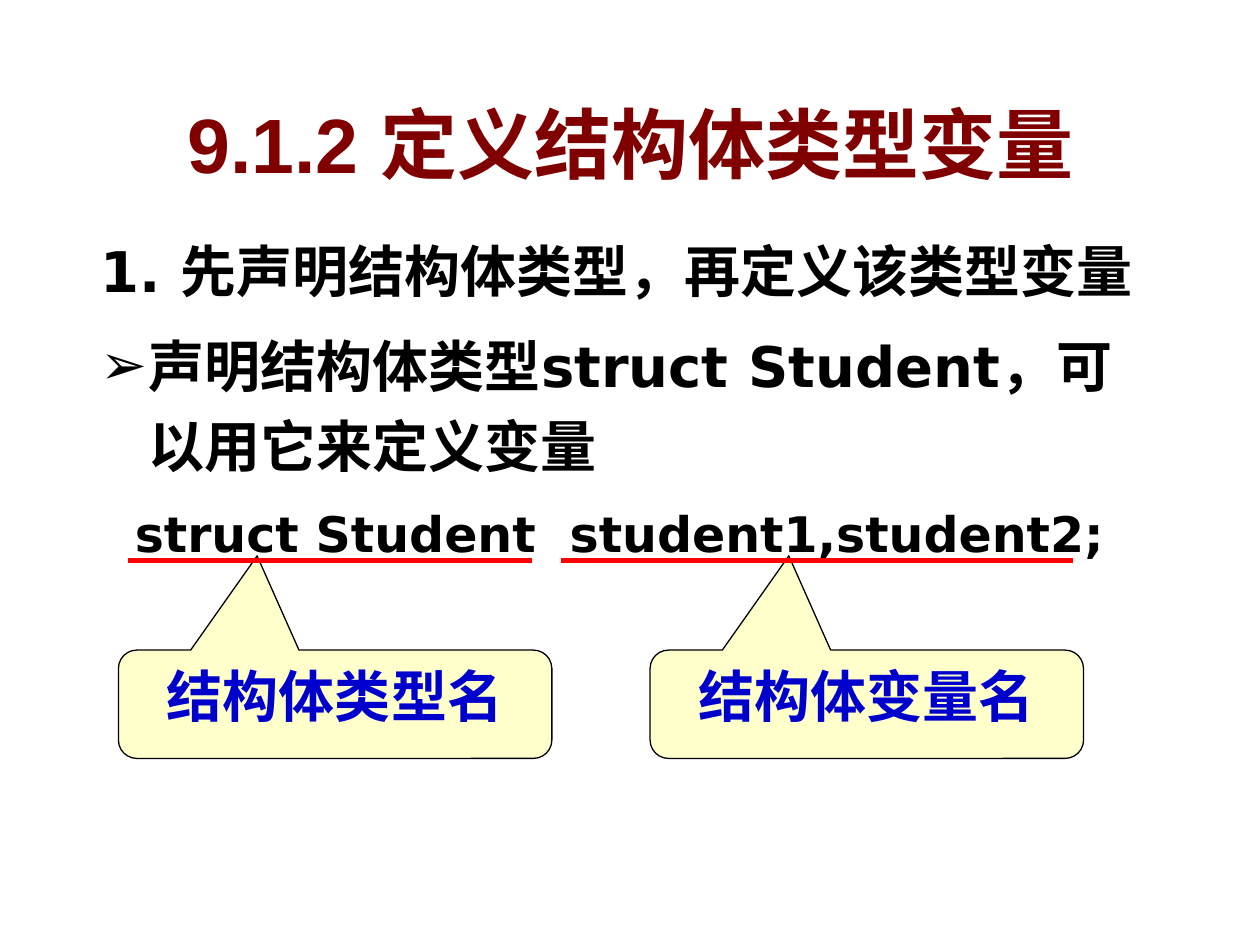
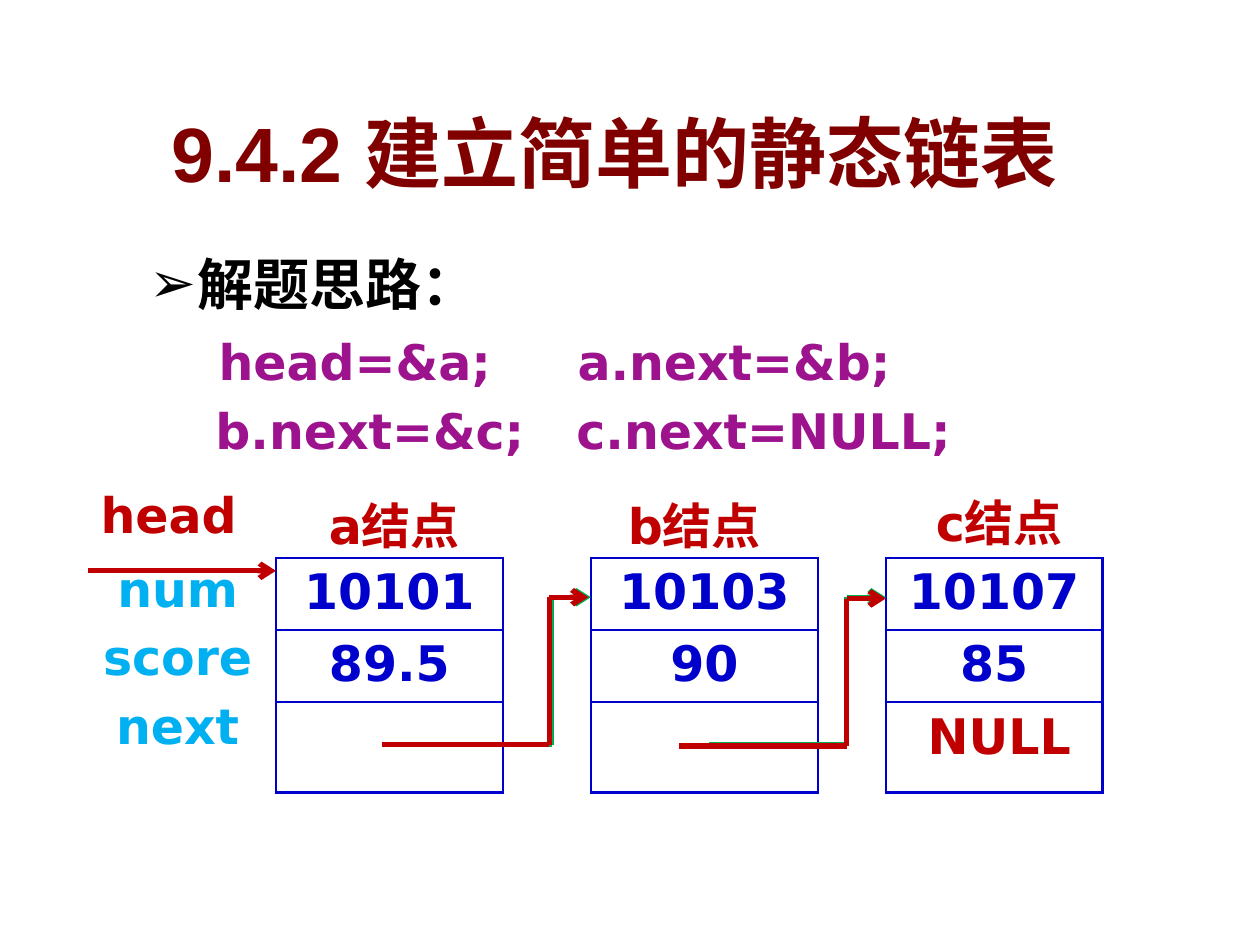
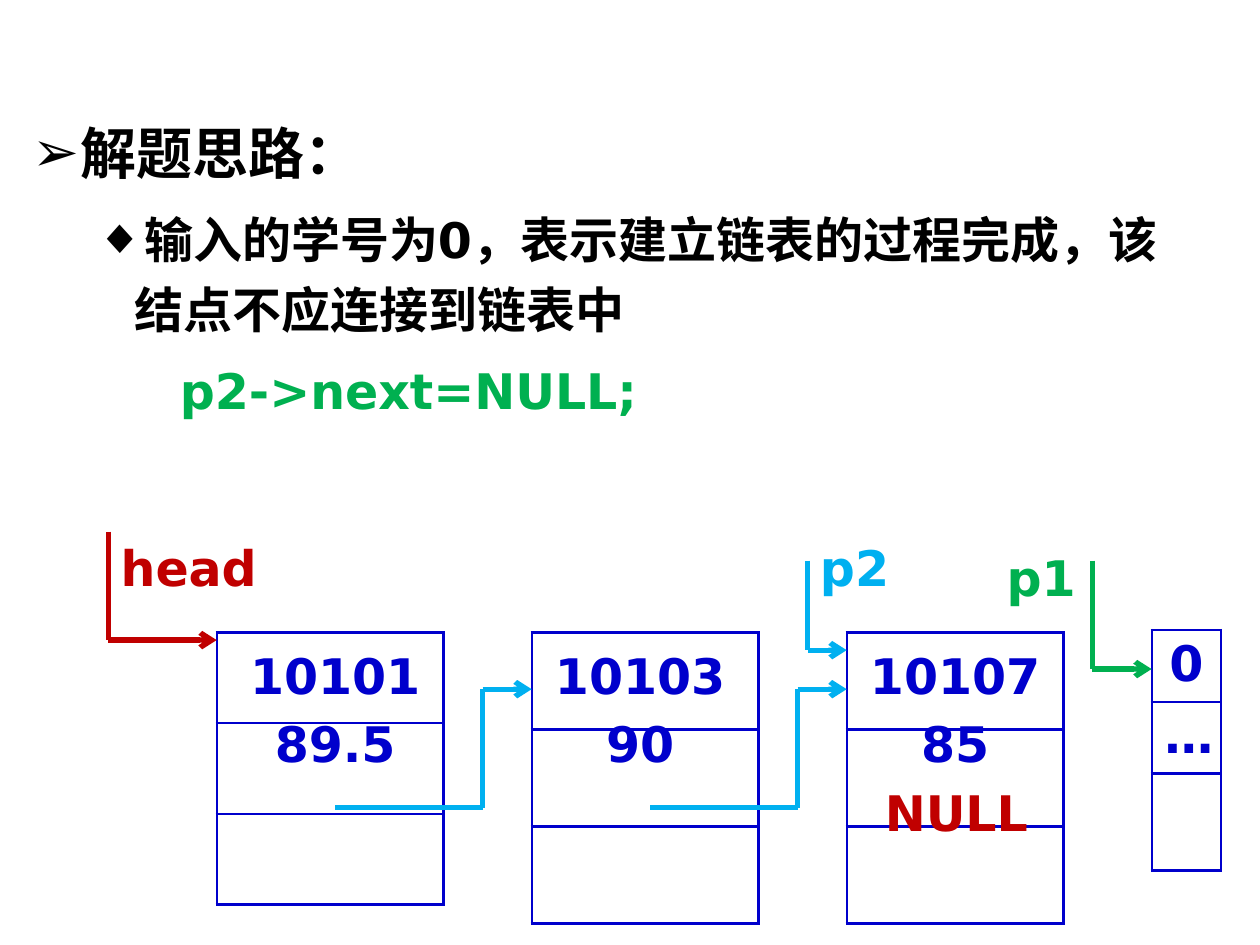
from dataclasses import dataclass

from lxml import etree
from pptx import Presentation
from pptx.dml.color import RGBColor
from pptx.enum.shapes import MSO_CONNECTOR as Connector, MSO_SHAPE as Shape
from pptx.enum.text import MSO_ANCHOR as Anchor, MSO_AUTO_SIZE as AutoSize, PP_ALIGN as Align
from pptx.oxml import parse_xml
from pptx.oxml.ns import nsdecls, qn
from pptx.util import Emu, Pt

EMU_PER_PX = 9144


@dataclass(frozen=True)
class Theme:
    """Colours, fonts and type sizes shared by the pages."""
    title: str = "800000"
    ink: str = "000000"
    paper: str = "FFFFFF"
    blue: str = "0000CC"
    cyan: str = "00B0F0"
    green: str = "00B050"
    red: str = "C00000"
    underline: str = "FF0000"
    purple: str = "9D138D"
    callout: str = "FFFFCC"
    heading_font: str = "Arial"
    body_font: str = "DejaVu Sans"
    heading_size: int = 44
    point_size: int = 32
    label_size: int = 28
    route_width: int = 3
    border_width: float = 1.5


THEME = Theme()


@dataclass(frozen=True)
class Item:
    """A paragraph of the body list."""
    text: str
    bullet: str = ""
    size: int = THEME.point_size
    level: int = 0
    before: int = 8


@dataclass(frozen=True)
class Label:
    """A free text box; exact line spacing is optional."""
    text: str
    left: int
    top: int
    width: int
    color: str
    align: Align = Align.CENTER
    height: int = 57
    spacing: int = 0


@dataclass(frozen=True)
class Node:
    """A list node drawn as a one-column table."""
    left: int
    top: int
    width: int
    heights: tuple[int, ...]
    values: tuple[str, ...] = ()


@dataclass(frozen=True)
class Route:
    """A line through points, ending in an arrowhead if asked."""
    color: str
    points: tuple[tuple[int, int], ...]
    arrow: bool = True


def px(length: int) -> Emu:
    """Convert px to EMU."""
    return Emu(length * EMU_PER_PX)


def rgb(color: str) -> RGBColor:
    """Convert a hex string to a colour."""
    return RGBColor.from_string(color)


def place(shape, left: int, top: int, width: int, height: int) -> None:
    """Move and size a shape."""
    shape.left, shape.top, shape.width, shape.height = map(px, (left, top, width, height))


def format_runs(para, size: int, color: str, font: str = THEME.body_font) -> None:
    """Format every run of a paragraph."""
    for span in para.runs:
        span.font.size = Pt(size)
        span.font.bold = True
        span.font.name = font
        span.font.color.rgb = rgb(color)


def add_title(page, text: str, left: int, top: int, width: int) -> None:
    """Fill the title placeholder with shadowed text."""
    title = page.shapes.title
    place(title, left, top, width, 84)
    frame = title.text_frame
    frame.text = text
    frame.auto_size = AutoSize.NONE
    frame.vertical_anchor = Anchor.MIDDLE
    para = frame.paragraphs[0]
    para.alignment = Align.CENTER
    format_runs(para, THEME.heading_size, THEME.title, THEME.heading_font)
    shadow = parse_xml(
        f'<a:effectLst {nsdecls("a")}><a:outerShdw dist="35921" dir="2700000">'
        '<a:srgbClr val="C0C0C0"/></a:outerShdw></a:effectLst>')
    para.runs[0].font.fill._xPr.find(qn("a:solidFill")).addnext(shadow)


def set_bullet(para, bullet: str, margin: int, hang: int) -> None:
    """Set the hanging indent and the bullet of a paragraph."""
    props = para._p.get_or_add_pPr()
    props.set("marL", str(px(margin)))
    props.set("indent", str(-px(hang)))
    if not bullet:
        etree.SubElement(props, qn("a:buNone"))
        return
    color = etree.SubElement(props, qn("a:buClr"))
    etree.SubElement(color, qn("a:srgbClr"), val=THEME.ink)
    etree.SubElement(props, qn("a:buChar"), char=bullet)


def add_body(page, box: tuple[int, int, int, int], items: list[Item]) -> None:
    """Fill the body placeholder with list items."""
    body = page.placeholders[1]
    place(body, *box)
    frame = body.text_frame
    frame.text = "\n".join(item.text for item in items)
    frame.auto_size = AutoSize.NONE
    for index, (para, item) in enumerate(zip(frame.paragraphs, items)):
        para.level = item.level
        para.line_spacing = 1.2
        para.space_before = Pt(item.before if index else 0)
        set_bullet(para, item.bullet, *((81, 31) if item.level else (38, 38)))
        format_runs(para, item.size, THEME.ink)


def add_label(page, label: Label) -> None:
    """Draw a text box."""
    box = page.shapes.add_textbox(*map(px, (label.left, label.top, label.width, label.height)))
    frame = box.text_frame
    frame.text = label.text
    frame.word_wrap = True
    frame.auto_size = AutoSize.SHAPE_TO_FIT_TEXT
    for para in frame.paragraphs:
        para.alignment = label.align
        if label.spacing:
            para.line_spacing = Pt(label.spacing)
        format_runs(para, THEME.label_size, label.color)


def set_borders(cell) -> None:
    """Outline all four sides of a cell."""
    props = cell._tc.get_or_add_tcPr()
    for index, side in enumerate(("lnL", "lnR", "lnT", "lnB")):
        props.insert(index, parse_xml(
            f'<a:{side} {nsdecls("a")} w="{Pt(THEME.border_width)}"><a:solidFill>'
            f'<a:srgbClr val="{THEME.blue}"/></a:solidFill></a:{side}>'))


def add_node(page, node: Node) -> None:
    """Draw a list node."""
    box = map(px, (node.left, node.top, node.width, sum(node.heights)))
    table = page.shapes.add_table(len(node.heights), 1, *box).table
    table.first_row = table.horz_banding = False
    for row, height in zip(table.rows, node.heights):
        row.height = px(height)
        cell = row.cells[0]
        cell.fill.solid()
        cell.fill.fore_color.rgb = rgb(THEME.paper)
        set_borders(cell)
    for row, value in zip(table.rows, node.values):
        frame = row.cells[0].text_frame
        frame.text = value
        frame.paragraphs[0].alignment = Align.CENTER
        format_runs(frame.paragraphs[0], THEME.label_size, THEME.blue)


def add_route(page, route: Route) -> None:
    """Draw a route as straight connectors."""
    for start, end in zip(route.points, route.points[1:]):
        line = page.shapes.add_connector(Connector.STRAIGHT, *map(px, start + end))
        line.line.color.rgb = rgb(route.color)
        line.line.width = Pt(THEME.route_width)
        etree.SubElement(line._element.spPr, qn("a:effectLst"))
    if route.arrow:
        etree.SubElement(line.line._get_or_add_ln(), qn("a:tailEnd"), type="arrow")


def add_callout(page, text: str, left: int) -> None:
    """Draw a callout that points up at the code line."""
    callout = page.shapes.add_shape(
        Shape.ROUNDED_RECTANGULAR_CALLOUT, *map(px, (left, 516, 344, 86)))
    for index, value in enumerate((-0.18, -1.37, 0.17)):
        callout.adjustments[index] = value
    callout.shadow.inherit = False
    callout.fill.solid()
    callout.fill.fore_color.rgb = rgb(THEME.callout)
    callout.line.color.rgb = rgb(THEME.ink)
    callout.line.width = Pt(0.75)
    frame = callout.text_frame
    frame.text = text
    frame.word_wrap = False
    frame.vertical_anchor = Anchor.TOP
    frame.paragraphs[0].alignment = Align.CENTER
    format_runs(frame.paragraphs[0], THEME.point_size, THEME.blue)


def elbow(color: str, start: tuple[int, int], turn: int, end: tuple[int, int]) -> Route:
    """Make a route that runs across, up at the turn and across again."""
    return Route(color, (start, (turn, start[1]), (turn, end[1]), end))


def pointer(color: str, left: int, top: int, end: tuple[int, int]) -> Route:
    """Make a route that runs down and then right."""
    return Route(color, ((left, top), (left, end[1]), end))


def add_diagram(page, nodes: list[Node], labels: list[Label], routes: list[Route]) -> None:
    """Draw nodes, then labels, then routes."""
    for node in nodes:
        add_node(page, node)
    for label in labels:
        add_label(page, label)
    for route in routes:
        add_route(page, route)


def build_variables(page) -> None:
    """Build the page on defining structure variables."""
    add_title(page, "9.1.2 定义结构体类型变量", 16, 71, 969)
    add_body(page, (70, 172, 859, 367), [
        Item("1. 先声明结构体类型，再定义该类型变量"),
        Item("声明结构体类型struct Student，可以用它来定义变量", "➢"),
        Item("  struct Student  student1,student2;", size=THEME.label_size, before=7),
    ])
    for text, left in (("结构体类型名", 94), ("结构体变量名", 516)):
        add_callout(page, text, left)
    for left, right in ((102, 422), (445, 852)):
        add_route(page, Route(THEME.underline, ((left, 445), (right, 445)), arrow=False))


def build_static_list(page) -> None:
    """Build the page on the static linked list."""
    add_title(page, "9.4.2 建立简单的静态链表", 31, 78, 914)
    add_body(page, (109, 182, 805, 123), [Item("解题思路：", "➢")])
    heights = (57, 57, 72)
    nodes = [
        Node(219, 443, 180, heights, ("10101", "89.5")),
        Node(469, 443, 180, heights, ("10103", "90")),
        Node(703, 443, 172, heights, ("10107", "85")),
    ]
    fields = [Label(text, 63, top, 156, THEME.cyan)
              for text, top in (("num", 438), ("score", 492), ("next", 547))]
    code = [Label(text, left, top, width, THEME.purple) for text, left, top, width in (
        ("head=&a;", 129, 258, 305), ("a.next=&b;", 430, 258, 305),
        ("b.next=&c;", 141, 313, 305), ("c.next=NULL;", 430, 313, 352))]
    names = [Label(text, left, top, width, THEME.red) for text, left, top, width in (
        ("a结点", 227, 388, 172), ("b结点", 469, 388, 164),
        ("c结点", 719, 386, 148), ("NULL", 719, 555, 148))]
    head = Label("head", 70, 380, 133, THEME.red, Align.LEFT)
    add_diagram(page, nodes, [*names, *fields, head, *code], [
        elbow(THEME.green, (305, 591), 438, (469, 474)),
        elbow(THEME.green, (563, 591), 672, (703, 474)),
        Route(THEME.red, ((70, 453), (219, 453))),
        elbow(THEME.red, (303, 591), 436, (467, 474)),
        elbow(THEME.red, (539, 592), 672, (703, 475)),
    ])


def build_last_node(page) -> None:
    """Build the page on closing the linked list."""
    title = page.shapes.title
    title._element.getparent().remove(title._element)
    add_body(page, (16, 78, 914, 211), [
        Item("解题思路：", "➢"),
        Item("输入的学号为0，表示建立链表的过程完成，该结点不应连接到链表中",
             "◆", THEME.label_size, 1, 7),
    ])
    nodes = [
        Node(172, 502, 180, (72,) * 3),
        Node(422, 502, 180, (77,) * 3),
        Node(672, 502, 172, (77,) * 3),
        Node(914, 500, 55, (57, 57, 77), ("0", "…")),
    ]
    records = [Label(text, left, 500, 172, THEME.blue, height=119, spacing=39)
               for text, left in (("10101\n89.5", 180), ("10103\n90", 422), ("10107\n85", 672))]
    pointers = [Label(text, left, top, width, color, Align.LEFT)
                for text, left, top, width, color in (
                    ("head", 86, 422, 133, THEME.red), ("p1", 789, 430, 86, THEME.green),
                    ("p2", 641, 422, 86, THEME.cyan),
                    ("p2->next=NULL;", 133, 281, 430, THEME.green))]
    links = [elbow(THEME.cyan, (left - 156, 641), left - 39, (left, 547)) for left in (422, 672)]
    null = Label("NULL", 677, 616, 164, THEME.red)
    add_diagram(page, nodes, [*records, *pointers, null], [
        pointer(THEME.red, 86, 422, (172, 508)),
        pointer(THEME.green, 867, 445, (914, 531)),
        pointer(THEME.cyan, 641, 445, (672, 516)),
        *links,
    ])


def main() -> None:
    """Build and save the deck."""
    deck = Presentation()
    deck.slide_width, deck.slide_height = px(1000), px(750)
    for build in (build_variables, build_static_list, build_last_node):
        build(deck.slides.add_slide(deck.slide_layouts[1]))
    deck.save("out.pptx")


if __name__ == "__main__":
    main()
